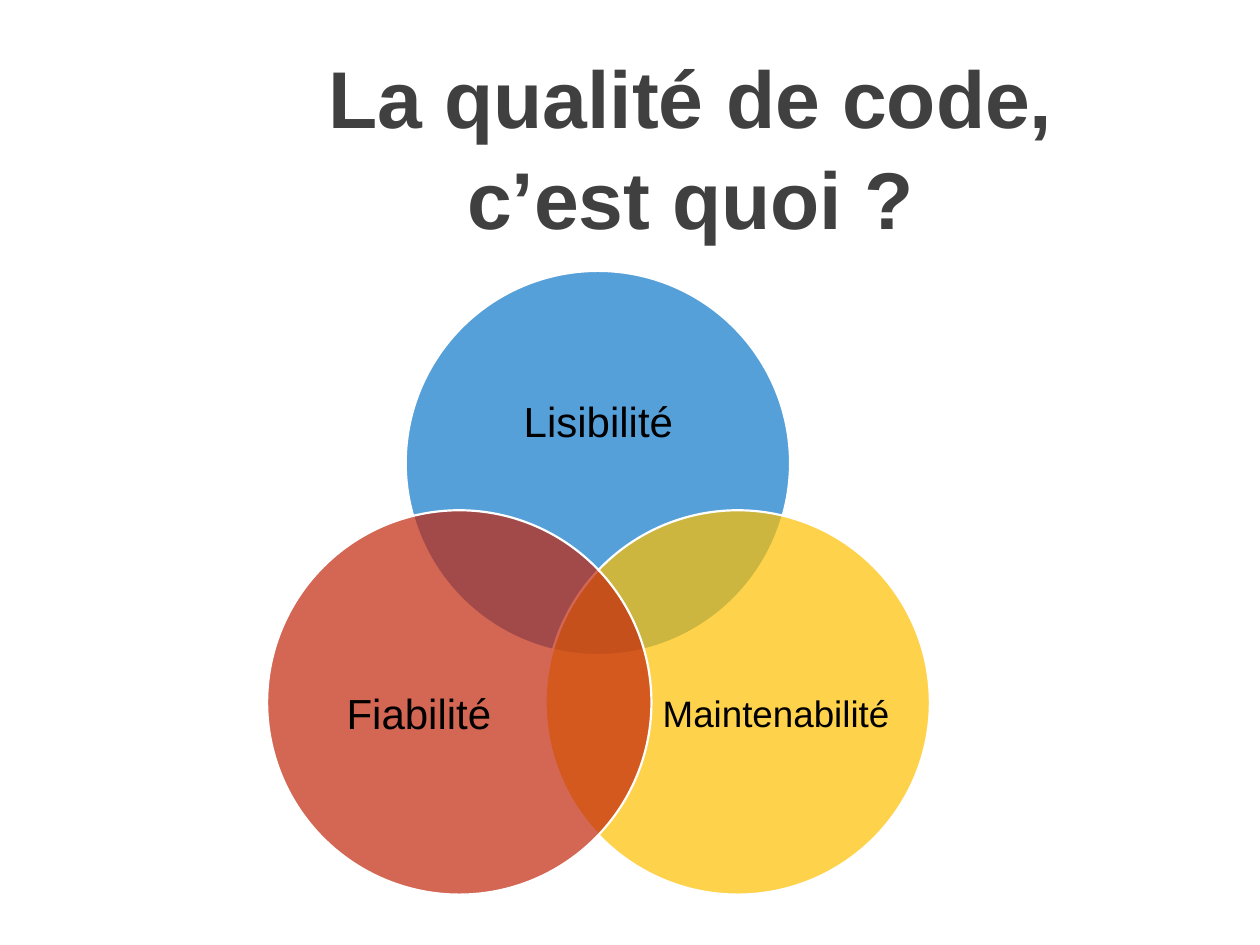
from typing import NamedTuple

from lxml.etree import SubElement
from pptx import Presentation
from pptx.dml.color import RGBColor
from pptx.enum.shapes import MSO_SHAPE as Shape
from pptx.enum.text import MSO_ANCHOR as Anchor, MSO_AUTO_SIZE as AutoSize, PP_ALIGN as Align
from pptx.oxml.ns import qn
from pptx.util import Inches, Pt

COLORS = {
    "title": "404040",
    "label": "000000",
    "outline": "FFFFFF",
    "blue": "0D79CA",
    "yellow": "FFC000",
    "red": "C3260C",
}
FONT = "Arial"
DIAMETER = 3.05
OPACITY = 70
LOWER_TOP, LOWER_LABEL_TOP = 4.05, 4.84
LOWER_LABEL_SIZE = (1.83, 1.68)


class Quality(NamedTuple):
    name: str
    color: str
    circle: tuple[float, float]
    label: tuple[float, float]
    label_size: tuple[float, float]
    font_size: int = 24
    align: Align = Align.CENTER


QUALITIES = [
    Quality("Lisibilité", "blue", (3.22, 2.15), (3.63, 2.68), (2.24, 1.37)),
    Quality("Maintenabilité", "yellow", (4.33, LOWER_TOP), (5.26, LOWER_LABEL_TOP),
            LOWER_LABEL_SIZE, 21, Align.LEFT),
    Quality("Fiabilité", "red", (2.12, LOWER_TOP), (2.41, LOWER_LABEL_TOP), LOWER_LABEL_SIZE),
]


def rgb(name: str) -> RGBColor:
    return RGBColor.from_string(COLORS[name])


def add_run(paragraph, text: str, size: int, color: str, bold: bool = False) -> None:
    run = paragraph.add_run()
    run.text = text
    run.font.name = FONT
    run.font.size = Pt(size)
    run.font.bold = bold
    run.font.color.rgb = rgb(color)


def fill_title(title) -> None:
    title.left, title.top = Inches(1.92), Inches(0.25)
    title.width, title.height = Inches(7.12), Inches(1.25)
    frame = title.text_frame
    frame.word_wrap = True
    frame.auto_size = AutoSize.NONE
    frame.vertical_anchor = Anchor.TOP
    frame.margin_top = Inches(0.09)
    paragraph = frame.paragraphs[0]
    paragraph.alignment = Align.CENTER
    paragraph.line_spacing = 1.05
    add_run(paragraph, "La qualité de code, c’est quoi ?", 46, "title", bold=True)


def add_circle(group, quality: Quality) -> None:
    left, top = quality.circle
    circle = group.shapes.add_shape(
        Shape.OVAL, Inches(left), Inches(top), Inches(DIAMETER), Inches(DIAMETER))
    circle.shadow.inherit = False
    circle.fill.solid()
    circle.fill.fore_color.rgb = rgb(quality.color)
    fill_color = circle.fill._xPr.find(qn("a:solidFill"))[0]
    SubElement(fill_color, qn("a:alpha"), val=str(OPACITY * 1000))
    circle.line.color.rgb = rgb("outline")
    circle.line.width = Pt(1.25)


def add_label(group, quality: Quality) -> None:
    box = group.shapes.add_textbox(*map(Inches, quality.label + quality.label_size))
    frame = box.text_frame
    frame.word_wrap = True
    frame.vertical_anchor = Anchor.MIDDLE
    frame.margin_left = frame.margin_right = frame.margin_top = frame.margin_bottom = 0
    paragraph = frame.paragraphs[0]
    paragraph.alignment = quality.align
    paragraph.line_spacing = 0.9
    add_run(paragraph, quality.name, quality.font_size, "label")


def main() -> None:
    presentation = Presentation()
    presentation.slide_width, presentation.slide_height = Inches(10), Inches(7.5)
    title_only = presentation.slide_layouts.get_by_name("Title Only")
    slide = presentation.slides.add_slide(title_only)
    fill_title(slide.shapes.title)
    venn = slide.shapes.add_group_shape()
    for quality in QUALITIES:
        add_circle(venn, quality)
        add_label(venn, quality)
    presentation.save("out.pptx")


if __name__ == "__main__":
    main()
